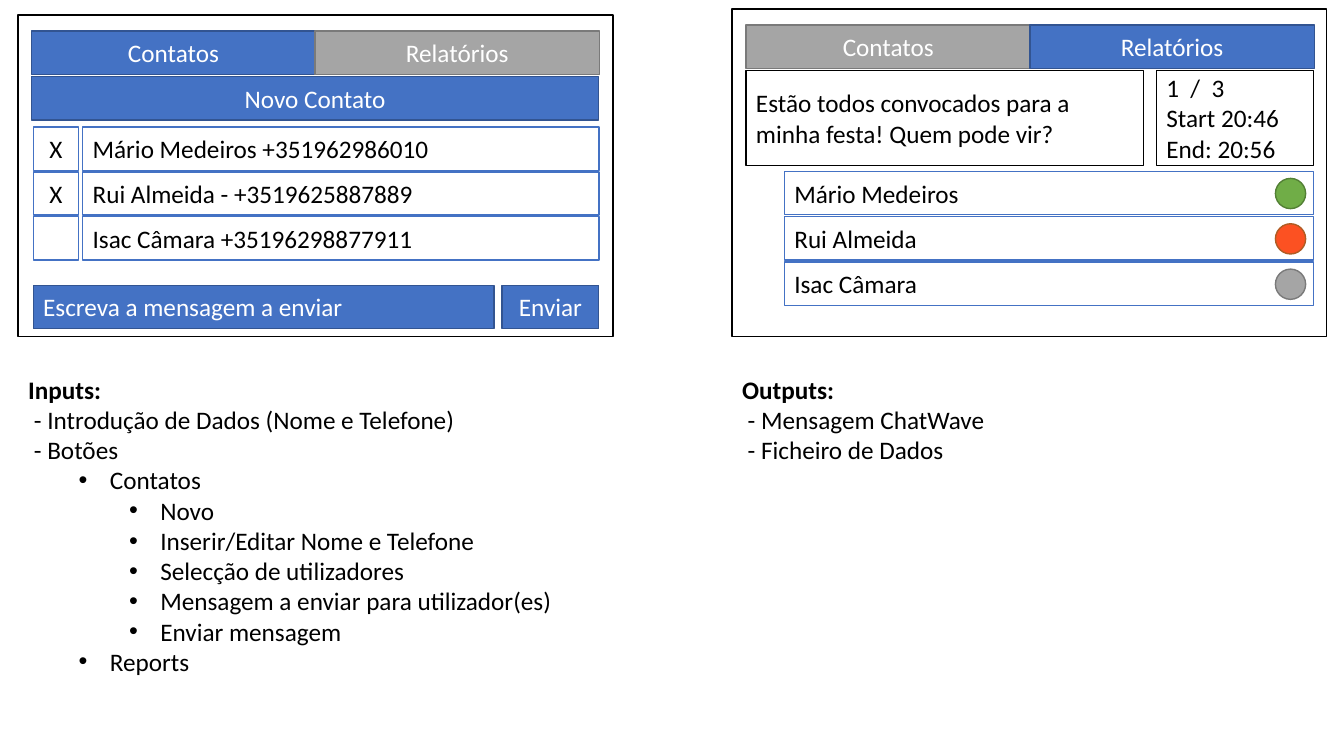
from lxml import etree
from pptx import Presentation
from pptx.dml.color import RGBColor
from pptx.enum.shapes import MSO_SHAPE
from pptx.enum.text import MSO_ANCHOR, MSO_AUTO_SIZE, PP_ALIGN
from pptx.oxml.ns import qn
from pptx.util import Inches, Pt

RECT, OVAL = MSO_SHAPE.RECTANGLE, MSO_SHAPE.OVAL
LEFT, MID = PP_ALIGN.LEFT, PP_ALIGN.CENTER
CENTER, TOP = MSO_ANCHOR.MIDDLE, MSO_ANCHOR.TOP
GROW = MSO_AUTO_SIZE.SHAPE_TO_FIT_TEXT

# Looks: fill, line, text colour
BLUE = ("4472C4", "325491", "FFFFFF")
GRAY = ("A5A5A5", "7A7A7A", "FFFFFF")
PLAIN = ("FFFFFF", "000000", "000000")
ROW = ("FFFFFF", "4472C4", "000000")
GREEN = ("70AD47", "538035", "FFFFFF")
RED = ("FC5122", "AF5C24", "FFFFFF")
BAR = 0.43


def color(code):
    return RGBColor.from_string(code)


def apply(item, values):
    for name, value in values.items():
        setattr(item, name, value)


class Sketch:
    font = {"name": "Calibri", "size": Pt(18)}
    para = {"space_before": Pt(0), "space_after": Pt(0), "line_spacing": 1.0}
    indents = {1: 0.81, 2: 1.31}
    hang = -0.31

    def __init__(self, slide):
        self.slide = slide

    def label(self, para, text, tint, bold=False):
        run = para.add_run()
        run.text = text
        apply(run.font, {**self.font, "bold": bold})
        run.font.color.rgb = color(tint)

    def box(self, at, look, text="", align=LEFT, kind=RECT):
        fill, line, tint = look
        shape = self.slide.shapes.add_shape(kind, *map(Inches, at))
        shape.shadow.inherit = False
        shape.fill.solid()
        shape.fill.fore_color.rgb = color(fill)
        shape.line.color.rgb = color(line)
        shape.line.width = Pt(1)
        if text:
            frame = shape.text_frame
            apply(frame, {"word_wrap": True, "vertical_anchor": CENTER})
            for i, part in enumerate(text.split("\n")):
                para = frame.add_paragraph() if i else frame.paragraphs[0]
                para.alignment = align
                self.label(para, part, tint)

    def tabs(self, left, top, looks):
        for i, (name, look) in enumerate(zip(("Contatos", "Relatórios"), looks)):
            self.box((left + 2.815 * i, top, 2.82, BAR), look, name, MID)

    def bullet(self, para, level):
        props = para._p.get_or_add_pPr()
        props.set("marL", str(Inches(self.indents.get(level, 0))))
        props.set("indent", str(Inches(self.hang if level else 0)))
        if level:
            etree.SubElement(props, qn("a:buFont")).set("typeface", "Arial")
            etree.SubElement(props, qn("a:buChar")).set("char", "•")
        else:
            etree.SubElement(props, qn("a:buNone"))

    def notes(self, holder, at, items):
        places = ("left", "top", "width", "height")
        apply(holder, dict(zip(places, map(Inches, at))))
        frame = holder.text_frame
        apply(frame, {"word_wrap": True, "auto_size": GROW,
                      "vertical_anchor": TOP})
        for i, (level, text) in enumerate(items):
            para = frame.add_paragraph() if i else frame.paragraphs[0]
            apply(para, {**self.para, "level": level, "alignment": LEFT})
            self.bullet(para, level)
            self.label(para, text, "000000", bold=i == 0)


deck = Presentation()
deck.slide_width, deck.slide_height = Inches(13.33), Inches(7.5)
slide = deck.slides.add_slide(deck.slide_layouts[3])
title, inputs, outputs = list(slide.placeholders)[:3]
title.element.getparent().remove(title.element)
art = Sketch(slide)

# Contacts screen
art.box((0.18, 0.15, 5.9, 3.19), PLAIN)
art.tabs(0.31, 0.31, (BLUE, GRAY))
art.box((0.31, 0.76, 5.63, BAR), BLUE, "Novo Contato", MID)
contacts = [("X", "Mário Medeiros +351962986010"),
            ("X", "Rui Almeida - +3519625887889"),
            ("", "Isac Câmara +35196298877911")]
for i, (mark, name) in enumerate(contacts):
    top = 1.26 + 0.445 * i
    art.box((0.33, top, 0.45, BAR), ROW, mark, MID)
    art.box((0.82, top, 5.12, BAR), ROW, name)
art.box((0.33, 2.83, 4.57, BAR), BLUE, "Escreva a mensagem a enviar")
art.box((4.98, 2.83, 0.96, BAR), BLUE, "Enviar", MID)

# Reports screen
art.box((7.26, 0.09, 5.9, 3.25), PLAIN)
art.tabs(7.4, 0.25, (GRAY, BLUE))
art.box((7.4, 0.7, 3.94, 0.94), PLAIN,
        "Estão todos convocados para a minha festa! Quem pode vir?")
art.box((11.47, 0.7, 1.56, 0.94), PLAIN, "1  /  3\nStart 20:46\nEnd: 20:56")
replies = [("Mário Medeiros", GREEN), ("Rui Almeida", RED),
           ("Isac Câmara", GRAY)]
for i, (name, state) in enumerate(replies):
    top = 1.7 + 0.45 * i
    art.box((7.78, top, 5.25, BAR), ROW, name)
    art.box((12.65, top + 0.07, 0.3, 0.3), state, kind=OVAL)

# Lists of inputs and outputs
art.notes(inputs, (0.18, 3.66, 5.9, 3.43), [
    (0, "Inputs:"),
    (0, " - Introdução de Dados (Nome e Telefone)"),
    (0, " - Botões"),
    (1, "Contatos"),
    (2, "Novo"),
    (2, "Inserir/Editar Nome e Telefone"),
    (2, "Selecção de utilizadores"),
    (2, "Mensagem a enviar para utilizador(es)"),
    (2, "Enviar mensagem"),
    (1, "Reports")])
art.notes(outputs, (7.26, 3.66, 5.9, 1.31), [
    (0, "Outputs:"),
    (0, " - Mensagem ChatWave"),
    (0, " - Ficheiro de Dados")])

deck.save("out.pptx")
